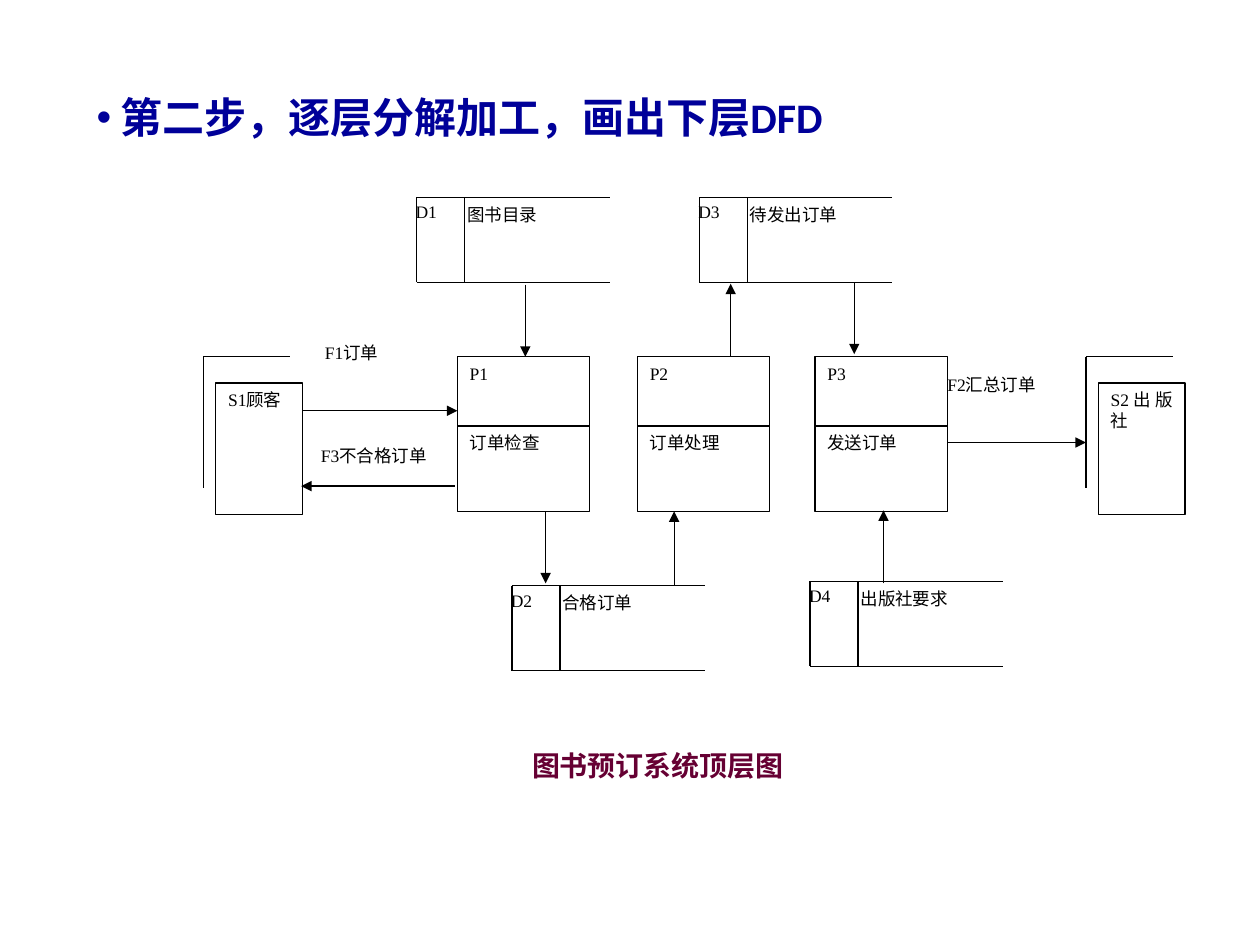
from pptx import Presentation
from pptx.dml.color import RGBColor
from pptx.enum.shapes import MSO_CONNECTOR, MSO_SHAPE
from pptx.enum.text import MSO_ANCHOR, PP_ALIGN
from pptx.oxml.ns import qn
from pptx.util import Cm, Pt
from lxml import etree

RECTANGLE = MSO_SHAPE.RECTANGLE
STRAIGHT = MSO_CONNECTOR.STRAIGHT
TOP = MSO_ANCHOR.TOP
LEFT, CENTER, JUSTIFY = PP_ALIGN.LEFT, PP_ALIGN.CENTER, PP_ALIGN.JUSTIFY

BLACK, WHITE, NAVY, MAROON = "000000", "FFFFFF", "000099", "660033"
CJK_FONT = "Noto Sans CJK SC"


def color(value):
    return RGBColor.from_string(value)


class DataFlowDiagram:
    """Draws the parts of a data flow diagram on one slide, in centimetres."""

    font = "Times New Roman"
    font_size = 10
    line_width = 0.75

    def __init__(self, slide):
        self.slide = slide

    def add_run(self, paragraph, text, size, font, value, bold=False):
        run = paragraph.add_run()
        run.text = text
        run.font.size = Pt(size)
        run.font.name = font
        run.font.bold = bold
        run.font.color.rgb = color(value)
        properties = run._r.get_or_add_rPr()
        etree.SubElement(properties, qn("a:ea"), typeface=CJK_FONT)

    def add_text(self, left, top, width, height, alignment=LEFT):
        box = self.slide.shapes.add_textbox(Cm(left), Cm(top), Cm(width), Cm(height))
        box.text_frame.word_wrap = True
        paragraph = box.text_frame.paragraphs[0]
        paragraph.alignment = alignment
        return paragraph

    def add_title(self, text):
        paragraph = self.add_text(1.7, 1.22, 23.57, 2.5)
        paragraph.line_spacing = 1.5
        properties = paragraph._p.get_or_add_pPr()
        properties.set("marL", str(Cm(0.48)))
        properties.set("indent", str(-Cm(0.48)))
        bullet_color = etree.SubElement(properties, qn("a:buClr"))
        etree.SubElement(bullet_color, qn("a:srgbClr"), val=NAVY)
        etree.SubElement(properties, qn("a:buFont"), typeface="Arial")
        etree.SubElement(properties, qn("a:buChar"), char="•")
        self.add_run(paragraph, text, 24, "Calibri", NAVY, True)

    def add_caption(self, text):
        paragraph = self.add_text(9.03, 14.96, 8.46, 1.2, CENTER)
        self.add_run(paragraph, text, 16, CJK_FONT, MAROON, True)

    def add_box(self, text, left, top, width, height, line=BLACK, alignment=JUSTIFY):
        shape = self.slide.shapes.add_shape(
            RECTANGLE, Cm(left), Cm(top), Cm(width), Cm(height))
        shape.shadow.inherit = False
        shape.fill.solid()
        shape.fill.fore_color.rgb = color(WHITE)
        shape.line.color.rgb = color(line)
        shape.line.width = Pt(self.line_width)
        frame = shape.text_frame
        frame.word_wrap = True
        frame.vertical_anchor = TOP
        paragraph = frame.paragraphs[0]
        paragraph.alignment = alignment
        self.add_run(paragraph, text, self.font_size, self.font, BLACK)

    def add_line(self, start_x, start_y, end_x, end_y, arrow=False):
        connector = self.slide.shapes.add_connector(
            STRAIGHT, Cm(start_x), Cm(start_y), Cm(end_x), Cm(end_y))
        connector.line.color.rgb = color(BLACK)
        connector.line.width = Pt(self.line_width)
        if arrow:
            outline = connector.line._get_or_add_ln()
            etree.SubElement(outline, qn("a:tailEnd"), type="triangle")
        etree.SubElement(connector._element.spPr, qn("a:effectLst"))

    def add_process(self, code, name, left, top=7.19):
        width, header, body = 2.67, 1.4, 1.73
        self.add_box(name, left, top + header, width, body)
        self.add_box(code, left, top, width, header, alignment=LEFT)

    def add_entity(self, name, left, top=7.72):
        width, height = 1.75, 2.65
        corner_x, corner_y = left - 0.25, top - 0.53
        self.add_box(name, left, top, width, height)
        self.add_line(corner_x, corner_y, corner_x + width, corner_y)
        self.add_line(corner_x, corner_y, corner_x, corner_y + height)

    def add_store(self, code, name, left, top):
        width, height, divider = 3.89, 1.71, 0.97
        self.add_box(code, left - 0.27, top - 0.05, 1.55, height, WHITE)
        self.add_box(name, left + 0.77, top, width, height, WHITE)
        for y in (top, top + height):
            self.add_line(left, y, left + width, y)
        for x in (left, left + divider):
            self.add_line(x, top, x, top + height)


def main():
    presentation = Presentation()
    presentation.slide_width, presentation.slide_height = Cm(25.4), Cm(19.05)
    slide = presentation.slides.add_slide(presentation.slide_layouts[6])
    diagram = DataFlowDiagram(slide)

    diagram.add_title("第二步，逐层分解加工，画出下层DFD")
    diagram.add_caption("图书预订系统顶层图")

    flow_labels = [
        ("F3不合格订单", 6.22, 8.84, 2.77, 2.64),
        ("F2汇总订单", 18.85, 7.42, 3.56, 1.73),
        ("F1订单", 6.3, 6.78, 2.77, 2.06),
    ]
    for label in flow_labels:
        diagram.add_box(*label, line=WHITE)

    processes = [("P1", "订单检查", 9.22), ("P2", "订单处理", 12.85),
                 ("P3", "发送订单", 16.43)]
    for process in processes:
        diagram.add_process(*process)

    for entity in [("S1顾客", 4.35), ("S2出版社", 22.14)]:
        diagram.add_entity(*entity)

    stores = [
        ("D1", "图书目录", 8.4, 3.98),
        ("D4", "出版社要求", 16.33, 11.72),
        ("D3", "待发出订单", 14.1, 3.98),
        ("D2", "合格订单", 10.32, 11.81),
    ]
    for store in stores:
        diagram.add_store(*store)

    flows = [
        (6.1, 8.28, 9.22, 8.28),
        (9.17, 9.8, 6.07, 9.8),
        (19.1, 8.92, 21.89, 8.92),
        (10.59, 5.74, 10.59, 7.19),
        (17.22, 5.69, 17.22, 7.14),
        (14.73, 7.19, 14.73, 5.72),
        (13.59, 11.79, 13.59, 10.31),
        (11, 10.31, 11, 11.76),
        (17.81, 11.76, 17.81, 10.29),
    ]
    for flow in flows:
        diagram.add_line(*flow, arrow=True)

    presentation.save("out.pptx")


if __name__ == "__main__":
    main()
